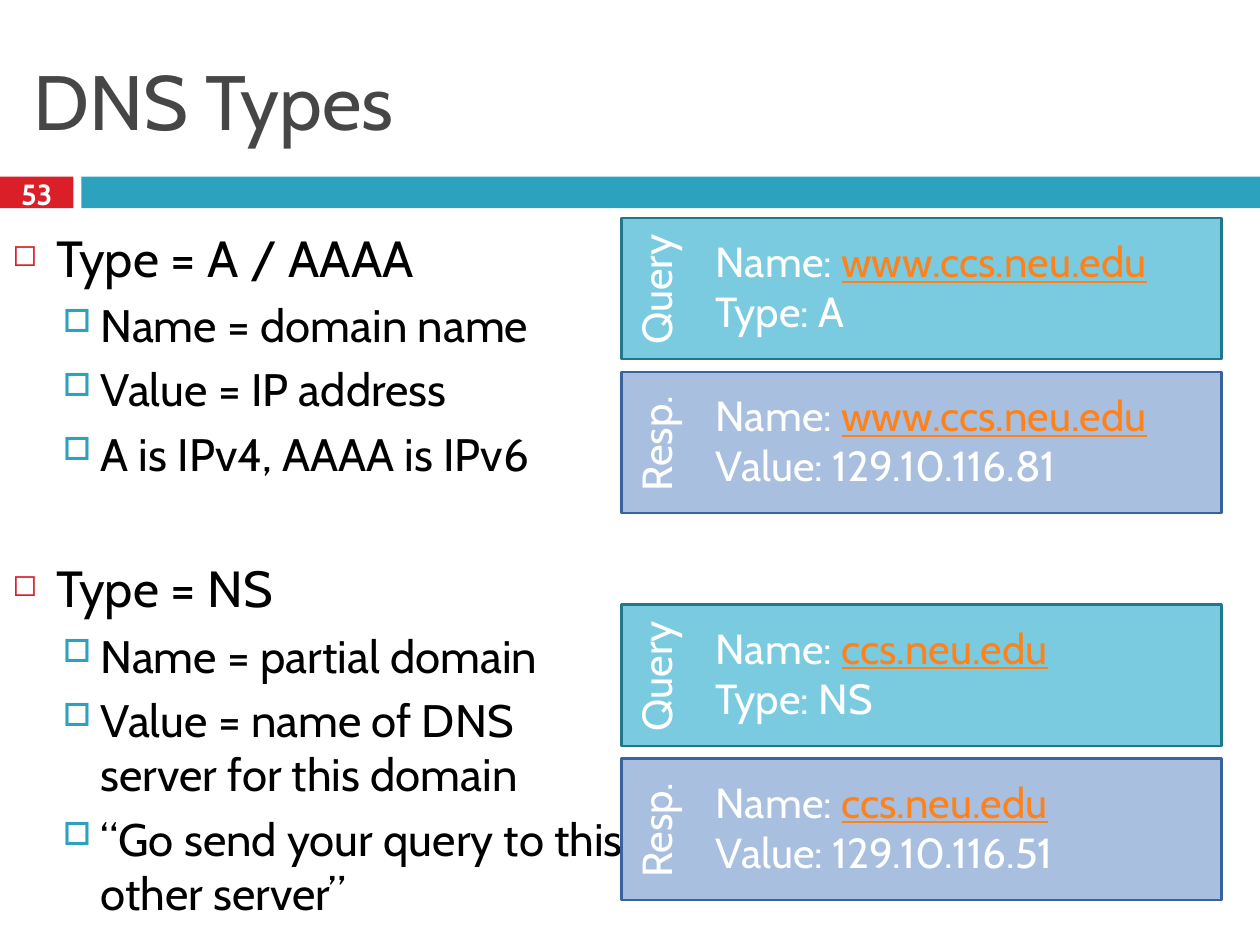
from dataclasses import dataclass

from lxml.etree import SubElement
from pptx import Presentation
from pptx.dml.color import RGBColor
from pptx.enum.shapes import MSO_SHAPE as Shape
from pptx.enum.text import MSO_ANCHOR as Anchor, PP_ALIGN as Align
from pptx.oxml.ns import qn
from pptx.util import Pt


@dataclass(frozen=True)
class Theme:
    """Colours, font and type sizes of the slide."""
    font: str = "Cabin"
    red: str = "DA1F28"
    teal: str = "2DA2BF"
    grey: str = "464646"
    black: str = "000000"
    white: str = "FFFFFF"
    link: str = "FF8119"
    query: tuple = ("7ACBE0", "21788D")
    resp: tuple = ("A8BFDF", "39639D")
    title: float = 44
    head: float = 29
    item: float = 26
    panel: float = 24
    num: float = 16.6


THEME = Theme()

TOPICS = [
    ("Type = A / AAAA",
     ["Name = domain name", "Value = IP address", "A is IPv4, AAAA is IPv6"]),
    ("Type = NS",
     ["Name = partial domain", "Value = name of DNS server for this domain",
      "“Go send your query to this other server”"]),
]

LOOKUPS = [
    ("www.ccs.neu.edu", "Type: A", "Value: 129.10.116.81"),
    ("ccs.neu.edu", "Type: NS", "Value: 129.10.116.51"),
]


def rgb(code):
    """Turn a hex code into a colour."""
    return RGBColor.from_string(code)


def style(font, size, color, bold=False):
    """Set the face, size and colour of a font."""
    font.name, font.size, font.bold = THEME.font, Pt(size), bold
    font.color.rgb = rgb(color)


def add_rect(shapes, box, fill, line=None):
    """Draw a flat rectangle, outlined if a line colour is given."""
    rect = shapes.add_shape(Shape.RECTANGLE, *map(Pt, box))
    rect.shadow.inherit = False
    rect.fill.solid()
    rect.fill.fore_color.rgb = rgb(fill)
    if line:
        rect.line.color.rgb = rgb(line)
        rect.line.width = Pt(1.5)
    else:
        rect.line.fill.background()


def add_text(shapes, box, text, size, color, bold=False, align=Align.LEFT,
             anchor=Anchor.MIDDLE, wrap=True):
    """Place styled text in a box and return its shape."""
    shape = shapes.add_textbox(*map(Pt, box))
    frame = shape.text_frame
    frame.word_wrap, frame.vertical_anchor = wrap, anchor
    frame.text = text
    for para in frame.paragraphs:
        para.alignment = align
        for run in para.runs:
            style(run.font, size, color, bold)
    return shape


def add_header(shapes, box):
    """Draw the title above a bar that holds the slide number."""
    left, top, width, height = box
    bar, tab, start = 18, 42, 46.5
    base = top + height - bar
    add_rect(shapes, (left, base, tab, bar), THEME.red)
    add_rect(shapes, (left + start, base, width - start, bar), THEME.teal)
    add_text(shapes, (left + 12, top + 18, width - 24, 78), "DNS Types",
             THEME.title, THEME.grey)
    add_text(shapes, (left, base - 2.5, tab, 24), "53", THEME.num,
             THEME.white, bold=True, align=Align.CENTER)


def add_bullet(para, mark, color, scale, left, hang):
    """Give a paragraph a hanging bullet."""
    props = para._p.get_or_add_pPr()
    props.set("marL", str(Pt(left)))
    props.set("indent", str(-Pt(hang)))
    tint = SubElement(props, qn("a:buClr"))
    SubElement(tint, qn("a:srgbClr"), val=color)
    SubElement(props, qn("a:buSzPct"), val=str(scale * 1000))
    SubElement(props, qn("a:buChar"), char=mark)


def add_outline(shapes, box, topics):
    """List each topic with its points below it."""
    frame = shapes.add_textbox(*map(Pt, box)).text_frame
    frame.word_wrap = True
    para = frame.paragraphs[0]
    for num, (head, items) in enumerate(topics):
        if num:
            para = frame.add_paragraph()
            para.space_before = Pt(44)
        para.text = head
        add_bullet(para, "◻", THEME.red, 60, 25.2, 25.2)
        style(para.runs[0].font, THEME.head, THEME.black)
        for item in items:
            para = frame.add_paragraph()
            para.text, para.level = item, 1
            add_bullet(para, "□", THEME.teal, 70, 50.4, 21.6)
            para.space_before = Pt(5.5)
            style(para.runs[0].font, THEME.item, THEME.black)


def add_panel(shapes, box, label, colors, host, detail):
    """Group a record panel with its upright label and two lines."""
    left, top, width, height = box
    parts = shapes.add_group_shape().shapes
    add_rect(parts, box, *colors)
    wide, high = 80, 36
    tag = (left + 19.5 - wide / 2, top + (height - high) / 2 + 0.5, wide, high)
    side = add_text(parts, tag, label, THEME.panel, THEME.white,
                    align=Align.CENTER, anchor=Anchor.TOP, wrap=False)
    side.rotation = 270
    body = add_text(parts, (left + 47, top + 6.5, width - 60.5, 65.5),
                    f"Name: \n{detail}", THEME.panel, THEME.white,
                    anchor=Anchor.TOP)
    run = body.text_frame.paragraphs[0].add_run()
    run.text = host
    style(run.font, THEME.panel, THEME.link)
    run.font.underline = True


def add_lookup(shapes, box, host, ask, answer):
    """Stack a query panel over its response panel."""
    left, top, width, height = box
    tall, gap = (height - 7.2) / 2, 7.2
    rows = [("Query", THEME.query, ask), ("Resp.", THEME.resp, answer)]
    for num, (label, colors, detail) in enumerate(rows):
        add_panel(shapes, (left, top + num * (tall + gap), width, tall),
                  label, colors, host, detail)


def main():
    """Build the slide and save it."""
    deck = Presentation()
    deck.slide_width, deck.slide_height = Pt(720), Pt(540)
    shapes = deck.slides.add_slide(deck.slide_layouts[6]).shapes
    add_header(shapes, (0, 0, 720, 119))
    add_outline(shapes, (0, 126, 365, 414), TOPICS)
    for num, lookup in enumerate(LOOKUPS):
        add_lookup(shapes, (355, 124.5 + num * 221, 343, 168.8), *lookup)
    deck.save("out.pptx")


if __name__ == "__main__":
    main()
